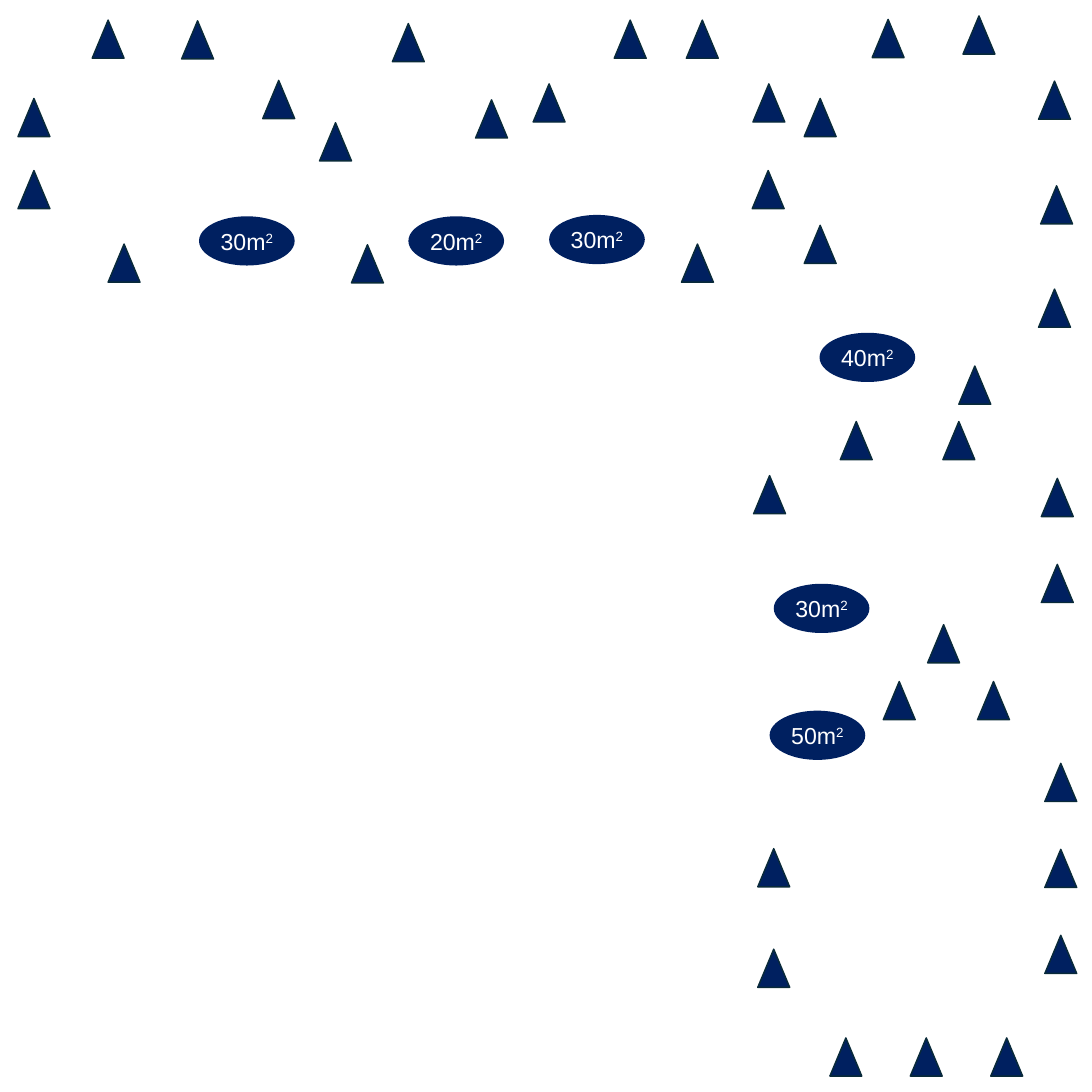
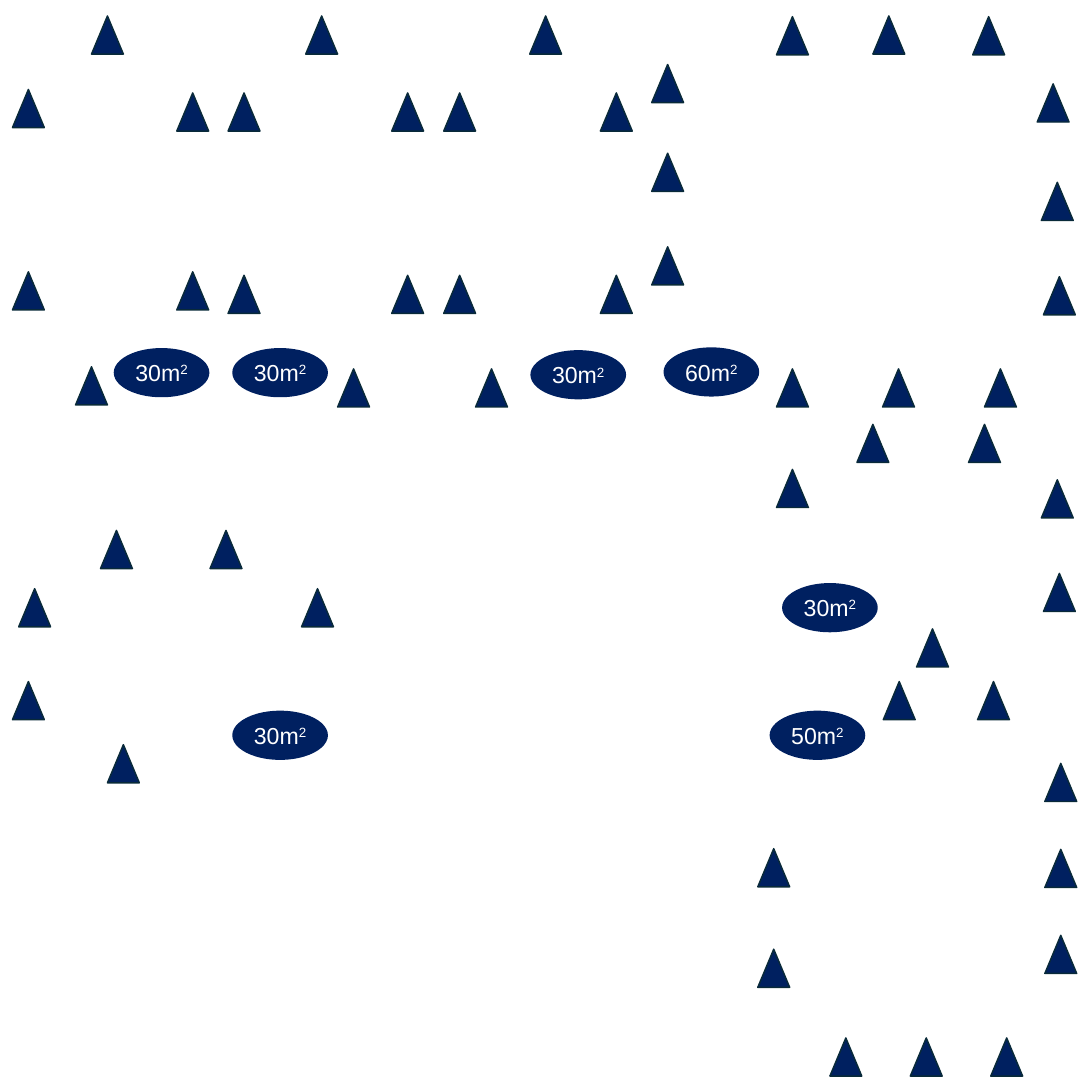
from dataclasses import dataclass
from itertools import product

import pptx
import pptx.dml.color
import pptx.enum.shapes
import pptx.enum.text
import pptx.shapes.autoshape
import pptx.slide
import pptx.util

Inches = pptx.util.Inches
Pt = pptx.util.Pt
Shape = pptx.shapes.autoshape.Shape
Slide = pptx.slide.Slide
Kind = pptx.enum.shapes.MSO_SHAPE

SIDE = 15.75
COLORS = {"navy": "002060", "edge": "092A39", "white": "FFFFFF"}
FONT = "Arial"
TREE = (0.46, 0.55)
ROOM = (1.38, 0.71)


@dataclass(frozen=True)
class Spot:
    left: float
    top: float


@dataclass(frozen=True)
class Room(Spot):
    area: int


def grid(lefts: list[float], tops: list[float]) -> list[Spot]:
    """Give a spot at every crossing of the lefts and the tops."""
    return [Spot(x, y) for x, y in product(lefts, tops)]


def steps(start: float, gap: float, count: int) -> list[float]:
    return [round(start + gap * i, 2) for i in range(count)]


def spots(*pairs: tuple[float, float]) -> list[Spot]:
    return [Spot(x, y) for x, y in pairs]


# Trees and the room in the lower right, the same in both plans
SHARED_TREES = (
    grid([12.74, 14.1], [9.83])
    + grid([15.07], steps(11.01, 1.24, 3))
    + grid(steps(11.97, 1.16, 3), [14.97])
    + grid([10.93], [12.24, 13.69])
)
SHARED_ROOM = Room(11.1, 10.25, 50)

FIRST_TREES = (
    grid([0.26], [1.42, 2.46])
    + grid([1.56, 9.83], [3.52])
    + grid([1.33, 8.86, 9.9], [0.29])
    + grid([7.69, 10.86], [1.21])
    + grid([11.6], [1.42, 3.25])
    + grid([14.98], [1.17, 4.17])
    + grid([12.12, 13.6], [6.08])
    + grid([15.02], [6.9, 8.14])
    + spots(
        (2.62, 0.3), (3.79, 1.16), (4.61, 1.77), (5.07, 3.53),
        (5.66, 0.34), (6.86, 1.44), (10.85, 2.46), (12.58, 0.28),
        (13.89, 0.23), (15.01, 2.68), (13.83, 5.28), (10.87, 6.86),
        (13.38, 9.01),
    )
)
FIRST_ROOMS = [
    Room(2.87, 3.12, 30),
    Room(5.89, 3.12, 20),
    Room(7.92, 3.1, 30),
    Room(11.82, 4.8, 40),
    Room(11.16, 8.42, 30),
]

SECOND_TREES = (
    grid([1.32, 4.41, 7.64, 12.59], [0.23])
    + grid([11.2, 14.03], [0.24])
    + grid([3.29, 5.65, 6.4, 8.66], [1.34, 3.97])
    + grid([0.18, 2.55], [3.92])
    + grid([9.4], [0.93, 2.21, 3.56])
    + grid([4.87, 6.86, 11.2, 12.73, 14.2], [5.32])
    + grid([12.36, 13.97], [6.12])
    + grid([15.02], [2.63, 6.92])
    + grid([15.05], [3.99, 8.27])
    + grid([1.45, 3.03], [7.65])
    + grid([0.27, 4.35], [8.49])
    + spots(
        (0.18, 1.29), (2.55, 1.34), (1.09, 5.29), (14.96, 1.21),
        (11.2, 6.77), (13.22, 9.07), (0.18, 9.83), (1.55, 10.74),
    )
)
SECOND_ROOMS = [
    Room(1.64, 5.02, 30),
    Room(3.35, 5.02, 30),
    Room(7.65, 5.05, 30),
    Room(9.57, 5.01, 60),
    Room(11.28, 8.41, 30),
    Room(3.35, 10.25, 30),
]


def color(name: str) -> pptx.dml.color.RGBColor:
    return pptx.dml.color.RGBColor.from_string(COLORS[name])


def add_form(slide: Slide, kind: Kind, spot: Spot, size: tuple[float, float]) -> Shape:
    """Add a flat navy shape."""
    box = map(Inches, (spot.left, spot.top, *size))
    shape = slide.shapes.add_shape(kind, *box)
    shape.shadow.inherit = False
    shape.fill.solid()
    shape.fill.fore_color.rgb = color("navy")
    return shape


def add_tree(slide: Slide, spot: Spot) -> None:
    tree = add_form(slide, Kind.ISOSCELES_TRIANGLE, spot, TREE)
    tree.line.color.rgb = color("edge")
    tree.line.width = Pt(1.5)


def add_room(slide: Slide, room: Room) -> None:
    """Add an oval with its area in square metres."""
    oval = add_form(slide, Kind.OVAL, room, ROOM)
    oval.line.fill.background()
    frame = oval.text_frame
    frame.word_wrap = False
    frame.auto_size = pptx.enum.text.MSO_AUTO_SIZE.SHAPE_TO_FIT_TEXT
    para = frame.paragraphs[0]
    para.alignment = pptx.enum.text.PP_ALIGN.CENTER
    para.font.name = FONT
    para.font.size = Pt(24)
    para.font.color.rgb = color("white")
    para.add_run().text = f"{room.area}m"
    power = para.add_run()
    power.text = "2"
    power.font._element.set("baseline", "30000")


def add_plan(deck: pptx.presentation.Presentation, trees: list[Spot], rooms: list[Room]) -> None:
    slide = deck.slides.add_slide(deck.slide_layouts[6])
    for tree in trees + SHARED_TREES:
        add_tree(slide, tree)
    for room in rooms + [SHARED_ROOM]:
        add_room(slide, room)


def main() -> None:
    deck = pptx.Presentation()
    deck.slide_width = deck.slide_height = Inches(SIDE)
    add_plan(deck, FIRST_TREES, FIRST_ROOMS)
    add_plan(deck, SECOND_TREES, SECOND_ROOMS)
    deck.save("out.pptx")


if __name__ == "__main__":
    main()
